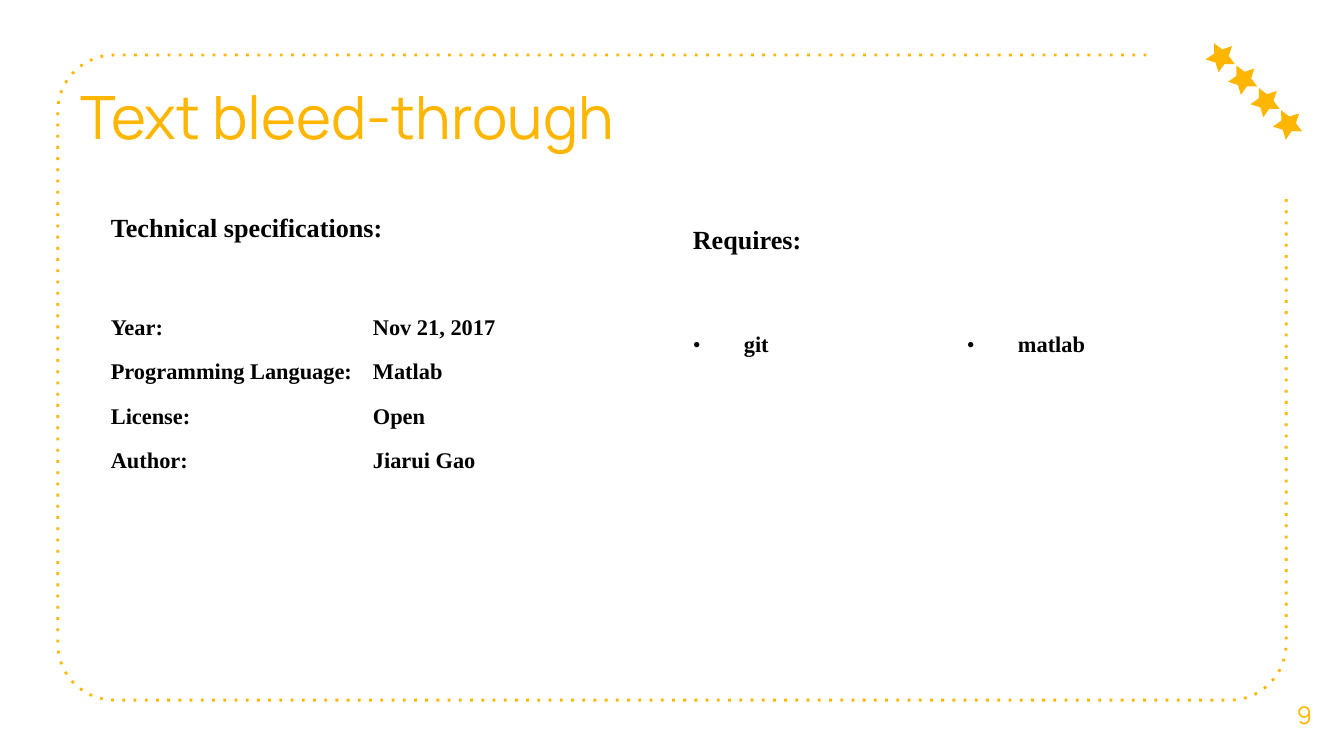
import math
from pptx import Presentation, util as u
from pptx.dml import color
from pptx.enum import dml, shapes, text
from pptx.oxml import ns, parse_xml

COLORS = {"accent": "FFB600", "ink": "000000"}


class SlideWriter:
    heading_font = "Manrope"
    table_font = "Times New Roman"

    def __init__(self, slide):
        self.slide = slide

    def rgb(self, name):
        return color.RGBColor.from_string(COLORS[name])

    def style(self, paragraph, font, size, shade, bold=False):
        for run in paragraph.runs:
            run.font.name = font
            run.font.size = u.Pt(size)
            run.font.bold = bold
            run.font.color.rgb = self.rgb(shade)

    def label(self, words, box, size, anchor, align):
        frame = self.slide.shapes.add_textbox(*map(u.Inches, box)).text_frame
        frame.word_wrap = True
        frame.vertical_anchor = anchor
        frame.margin_left = frame.margin_right = u.Inches(0.1)
        frame.margin_top = frame.margin_bottom = u.Inches(0.1)
        frame.text = words
        frame.paragraphs[0].alignment = align
        self.style(frame.paragraphs[0], self.heading_font, size, "accent")

    def dotted_path(self, points):
        start, *rest = [(u.Inches(x), u.Inches(y)) for x, y in points]
        builder = self.slide.shapes.build_freeform(*start)
        builder.add_line_segments(rest, close=False)
        border = builder.convert_to_shape()
        border.shadow.inherit = False
        border.fill.background()
        border.line.color.rgb = self.rgb("accent")
        border.line.width = u.Pt(1.5)
        border.line.dash_style = dml.MSO_LINE.ROUND_DOT
        border.line._ln.find(ns.qn("a:prstDash")).set("val", "dot")

    def star(self, left, top):
        box = map(u.Inches, (left, top, 0.22, 0.21))
        star = self.slide.shapes.add_shape(shapes.MSO_SHAPE.STAR_5_POINT, *box)
        star.adjustments[0] = 0.25
        star.rotation = 333.2
        star.shadow.inherit = False
        star.fill.solid()
        star.fill.fore_color.rgb = self.rgb("accent")
        star.line.fill.background()

    def bullet(self, paragraph):
        properties = paragraph._p.get_or_add_pPr()
        properties.set("marL", str(u.Inches(0.38)))
        properties.set("indent", str(u.Inches(-0.38)))
        for tag in (f'buFont {ns.nsdecls("a")} typeface="{self.table_font}"',
                    f'buChar {ns.nsdecls("a")} char="•"'):
            properties.append(parse_xml(f"<a:{tag}/>"))

    def table(self, left, top, widths, heights, heading, rows, space_after=0, bulleted=False):
        box = map(u.Inches, (left, top, sum(widths), sum(heights)))
        table = self.slide.shapes.add_table(len(heights), len(widths), *box).table
        table.first_row = table.horz_banding = False
        for column, width in zip(table.columns, widths):
            column.width = u.Inches(width)
        for row, height in zip(table.rows, heights):
            row.height = u.Inches(height)
        table.cell(0, 0).merge(table.cell(0, 1))
        for r, entries in enumerate([(heading, ""), *rows]):
            for c, entry in enumerate(entries):
                cell = table.cell(r, c)
                cell.fill.background()
                cell.margin_left = cell.margin_right = u.Pt(5.4)
                cell.margin_top = cell.margin_bottom = 0
                if not entry:
                    continue
                cell.text_frame.text = entry
                paragraph = cell.text_frame.paragraphs[0]
                paragraph.line_spacing = 1.15
                paragraph.space_after = u.Pt(space_after)
                self.style(paragraph, self.table_font, 12 if r else 14, "ink", bold=True)
                if bulleted and r:
                    paragraph.alignment = text.PP_ALIGN.JUSTIFY
                    self.bullet(paragraph)


def corner(x, y, radius, first_angle):
    angles = [math.radians(first_angle - 90 * step / 16) for step in range(17)]
    return [(x + radius * math.cos(a), y + radius * math.sin(a)) for a in angles]


def main():
    deck = Presentation()
    deck.slide_width = u.Inches(10)
    deck.slide_height = deck.slide_width * 9 // 16
    writer = SlideWriter(deck.slides.add_slide(deck.slide_layouts[6]))

    left, top, right, bottom, radius = 0.43, 0.41, 9.57, 5.21, 0.42
    writer.dotted_path([
        (8.53, top),
        *corner(left + radius, top + radius, radius, 270),
        *corner(left + radius, bottom - radius, radius, 180),
        *corner(right - radius, bottom - radius, radius, 90),
        (right, 1.46),
    ])
    writer.label("Text bleed-through", (0.5, 0.48, 5.44, 0.75), 32,
                 text.MSO_ANCHOR.BOTTOM, text.PP_ALIGN.LEFT)
    for step in range(4):
        writer.star(8.97 + step / 6, 0.31 + step / 6)
    writer.label("9", (9.41, 5.02, 0.59, 0.6), 13,
                 text.MSO_ANCHOR.MIDDLE, text.PP_ALIGN.CENTER)

    writer.table(5.08, 1.65, [2.04, 2.04], [0.8, 0.54], "Requires:",
                 [("git", "matlab")], bulleted=True)
    specifications = [
        ("Year:", "Nov 21, 2017"),
        ("Programming Language:", "Matlab"),
        ("License:", "Open"),
        ("Author:", "Jiarui Gao"),
    ]
    writer.table(0.75, 1.56, [1.95, 2.13], [0.76, 0.33, 0.33, 0.33, 0.42],
                 "Technical specifications:", specifications, space_after=10)
    deck.save("out.pptx")


if __name__ == "__main__":
    main()
